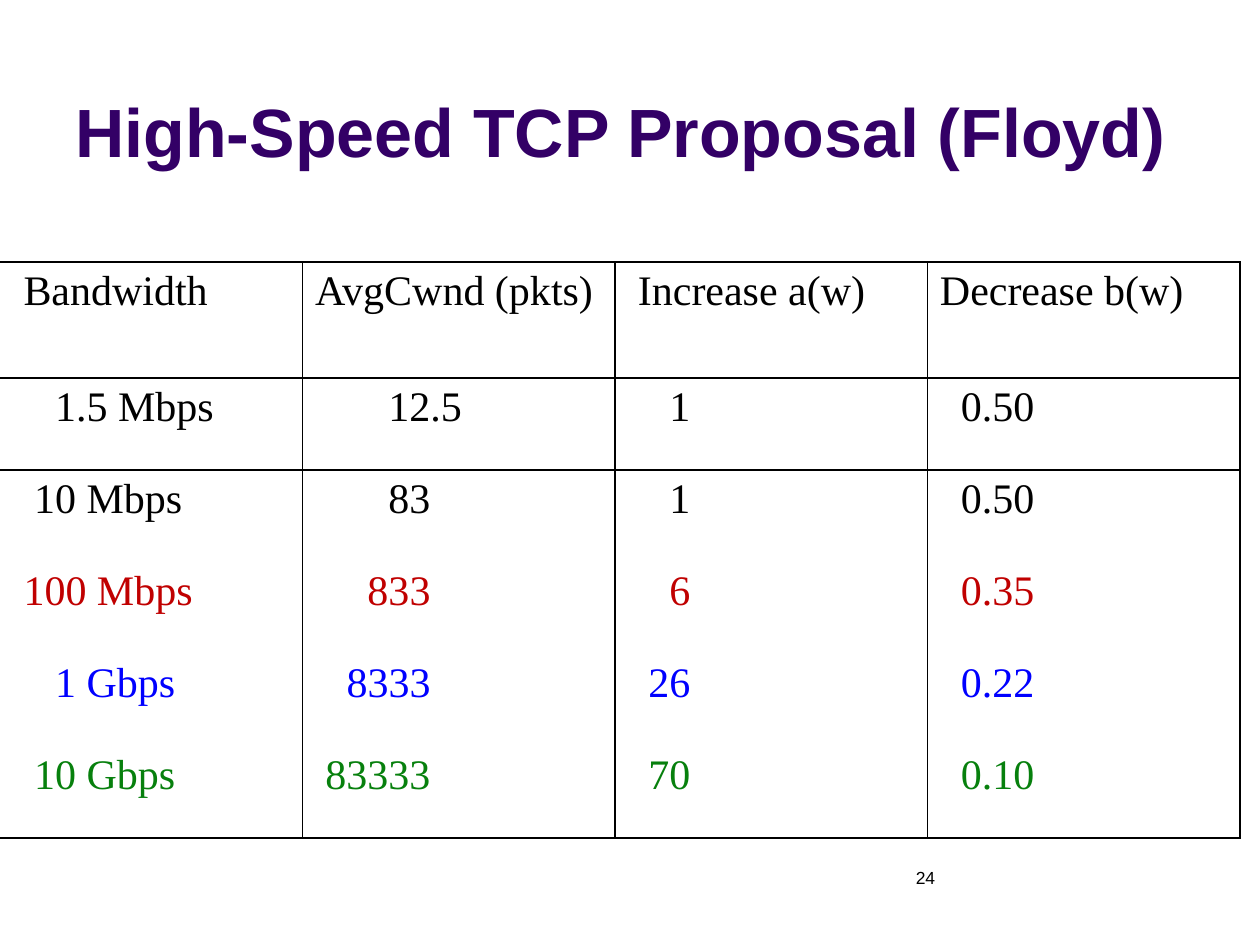
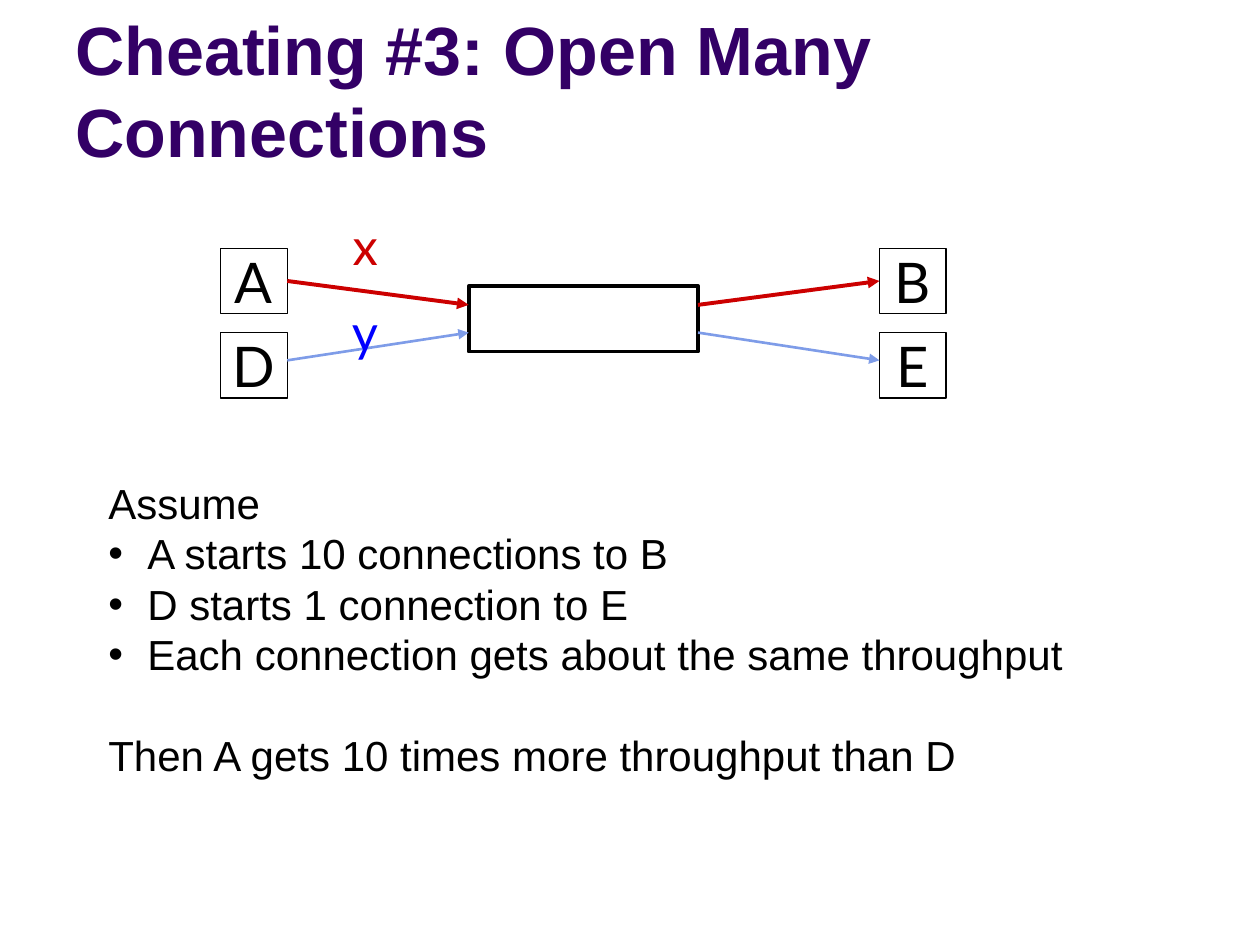
from dataclasses import dataclass

from lxml import etree
from pptx import Presentation
from pptx import util as u
from pptx.dml.color import RGBColor
from pptx.enum import shapes, text
from pptx.oxml.ns import qn


@dataclass(frozen=True)
class Theme:
    title: str = "330066"
    ink: str = "000000"
    paper: str = "FFFFFF"
    red: str = "CC0000"
    dark_red: str = "C00000"
    blue: str = "0000FF"
    light_blue: str = "7E9CE8"
    green: str = "07800D"
    sans: str = "Arial"
    serif: str = "Times New Roman"
    label: str = "Lato"
    title_size: int = 39
    node_size: int = 32
    rate_size: int = 29
    body_size: int = 24
    number_size: int = 10


theme = Theme()
WIDTH, HEIGHT = 10, 7.5


def write(paragraph, words, size, face, color, bold=False, align=text.PP_ALIGN.LEFT):
    paragraph.text = words
    paragraph.alignment = align
    font = paragraph.font
    font.size, font.name, font.bold = u.Pt(size), face, bold
    font.color.rgb = RGBColor.from_string(color)


def add_box(slide, left, top, width, height, anchor=text.MSO_ANCHOR.TOP,
            insets=(0.1, 0.05), wrap=True, border=0):
    """Add a text box, or an outlined white rectangle when border is given in points."""
    place = [u.Inches(value) for value in (left, top, width, height)]
    if border:
        shape = slide.shapes.add_shape(shapes.MSO_SHAPE.RECTANGLE, *place)
        shape.shadow.inherit = False
        shape.fill.solid()
        shape.fill.fore_color.rgb = RGBColor.from_string(theme.paper)
        shape.line.color.rgb = RGBColor.from_string(theme.ink)
        shape.line.width = u.Pt(border)
    else:
        shape = slide.shapes.add_textbox(*place)
    frame = shape.text_frame
    frame.word_wrap, frame.vertical_anchor = wrap, anchor
    frame.margin_left = frame.margin_right = u.Inches(insets[0])
    frame.margin_top = frame.margin_bottom = u.Inches(insets[1])
    return shape


presentation = Presentation()
presentation.slide_width, presentation.slide_height = u.Inches(WIDTH), u.Inches(HEIGHT)

# Both slides: white background and title
slides = []
for heading in ("High-Speed TCP Proposal (Floyd)", "Cheating #3: Open Many Connections"):
    slide = presentation.slides.add_slide(presentation.slide_layouts[6])
    slide.background.fill.solid()
    slide.background.fill.fore_color.rgb = RGBColor.from_string(theme.paper)
    title = add_box(slide, 0.05 * WIDTH, 0.13, 0.9 * WIDTH, 1.28, text.MSO_ANCHOR.BOTTOM)
    write(title.text_frame.paragraphs[0], heading, theme.title_size, theme.sans,
          theme.title, bold=True)
    slides.append(slide)
proposal_slide, cheating_slide = slides

# Table of window parameters; each indent counts steps of a quarter of the type size
page_number = add_box(proposal_slide, 7.17, 6.83, 2.33, 0.5)
write(page_number.text_frame.paragraphs[0], "24", theme.number_size, theme.sans, theme.ink)

parameters = [
    (theme.ink, ("Bandwidth", "AvgCwnd (pkts)", "Increase a(w)", "Decrease b(w)"), (2, 0, 1, 0)),
    (theme.ink, ("1.5 Mbps", "12.5", "1", "0.50"), (5, 7, 4, 2)),
    (theme.ink, ("10 Mbps", "83", "1", "0.50"), (3, 7, 4, 2)),
    (theme.dark_red, ("100 Mbps", "833", "6", "0.35"), (2, 5, 4, 2)),
    (theme.blue, ("1 Gbps", "8333", "26", "0.22"), (5, 3, 2, 2)),
    (theme.green, ("10 Gbps", "83333", "70", "0.10"), (3, 1, 2, 2)),
]
last_row = len(parameters) - 1
table = proposal_slide.shapes.add_table(
    len(parameters), 4, u.Inches(-0.08), u.Inches(2.08), u.Inches(9.92), u.Inches(4.58)).table
table.first_row = table.horz_banding = False
PLAIN_STYLE = "{2D5ABB26-0587-4C30-8999-92F81FD0307C}"
table._tbl.tblPr.find(qn("a:tableStyleId")).text = PLAIN_STYLE
for column in table.columns:
    column.width = u.Inches(9.92 / 4)

for row, (color, values, indents) in enumerate(parameters):
    table.rows[row].height = u.Inches(0.92 if row == 0 else 0.73)
    sides = ["a:lnL", "a:lnR"]
    if row <= 1:
        sides.append("a:lnT")
    if row in (0, last_row):
        sides.append("a:lnB")
    for column, (value, indent) in enumerate(zip(values, indents)):
        cell = table.cell(row, column)
        cell.margin_left = u.Inches(0.1) + u.Pt(indent * theme.body_size / 4)
        write(cell.text_frame.paragraphs[0], value, theme.body_size, theme.serif, color)
        properties = cell._tc.get_or_add_tcPr()
        for side in sides:
            border = etree.SubElement(properties, qn(side), w=str(u.Pt(1)))
            fill = etree.SubElement(border, qn("a:solidFill"))
            etree.SubElement(fill, qn("a:srgbClr"), val=theme.ink)
        cell.fill.background()

# Two flows through one shared link
NODE_WIDTH, NODE_HEIGHT = 0.53, 0.52
SENDER_LEFT, RECEIVER_LEFT = 1.75, 6.98
LINK_LEFT, LINK_WIDTH = 3.72, 1.82
tight = dict(anchor=text.MSO_ANCHOR.MIDDLE, insets=(0.04, 0.02), wrap=False)
add_box(cheating_slide, LINK_LEFT, 2.27, LINK_WIDTH, NODE_HEIGHT, border=2.25)

flows = [  # names, node top, end height, link height, arrow colour and width, rate
    ("AB", 1.97, 2.23, 2.42, theme.red, 2.25, "x", 1.67, theme.red),
    ("DE", 2.64, 2.86, 2.64, theme.light_blue, 1.5, "y", 2.35, theme.blue),
]
for names, top, end_y, link_y, color, weight, rate, rate_top, rate_color in flows:
    nodes = []
    for name, left in zip(names, (SENDER_LEFT, RECEIVER_LEFT)):
        node = add_box(cheating_slide, left, top, NODE_WIDTH, NODE_HEIGHT, border=0.75, **tight)
        write(node.text_frame.paragraphs[0], name, theme.node_size, theme.label,
              theme.ink, align=text.PP_ALIGN.CENTER)
        nodes.append(node)

    arrows = []
    for ends in ((SENDER_LEFT + NODE_WIDTH, end_y, LINK_LEFT, link_y),
                 (LINK_LEFT + LINK_WIDTH, link_y, RECEIVER_LEFT, end_y)):
        arrow = cheating_slide.shapes.add_connector(
            shapes.MSO_CONNECTOR.STRAIGHT, *[u.Inches(value) for value in ends])
        arrow.line.color.rgb = RGBColor.from_string(color)
        arrow.line.width = u.Pt(weight)
        etree.SubElement(arrow.line._get_or_add_ln(), qn("a:tailEnd"), type="triangle")
        etree.SubElement(arrow._element.spPr, qn("a:effectLst"))
        arrows.append(arrow)
    if abs(top + NODE_HEIGHT / 2 - end_y) < 0.01:
        arrows[0].begin_connect(nodes[0], 3)
        arrows[1].end_connect(nodes[1], 1)

    rate_label = add_box(cheating_slide, 2.66, rate_top, 0.38, 0.56, **tight)
    write(rate_label.text_frame.paragraphs[0], rate, theme.rate_size, theme.label,
          rate_color, align=text.PP_ALIGN.RIGHT)

# Argument below the diagram
argument = [
    ("Assume", False),
    ("A starts 10 connections to B", True),
    ("D starts 1 connection to E", True),
    ("Each connection gets about the same throughput", True),
    ("Then A gets 10 times more throughput than D", False),
]
frame = add_box(cheating_slide, 0.77, 3.75, 8.07, 2.51, insets=(0.09, 0.04)).text_frame
for index, (words, bulleted) in enumerate(argument):
    paragraph = frame.paragraphs[0] if index == 0 else frame.add_paragraph()
    if bulleted:
        properties = paragraph._p.get_or_add_pPr()
        properties.set("marL", str(u.Inches(0.31)))
        properties.set("indent", str(-u.Inches(0.31)))
        etree.SubElement(properties, qn("a:buFont"), typeface=theme.sans)
        etree.SubElement(properties, qn("a:buChar"), char="•")
    write(paragraph, words, theme.body_size, theme.sans, theme.ink)
paragraph.space_before = u.Pt(1.2 * theme.body_size)

presentation.save("out.pptx")
